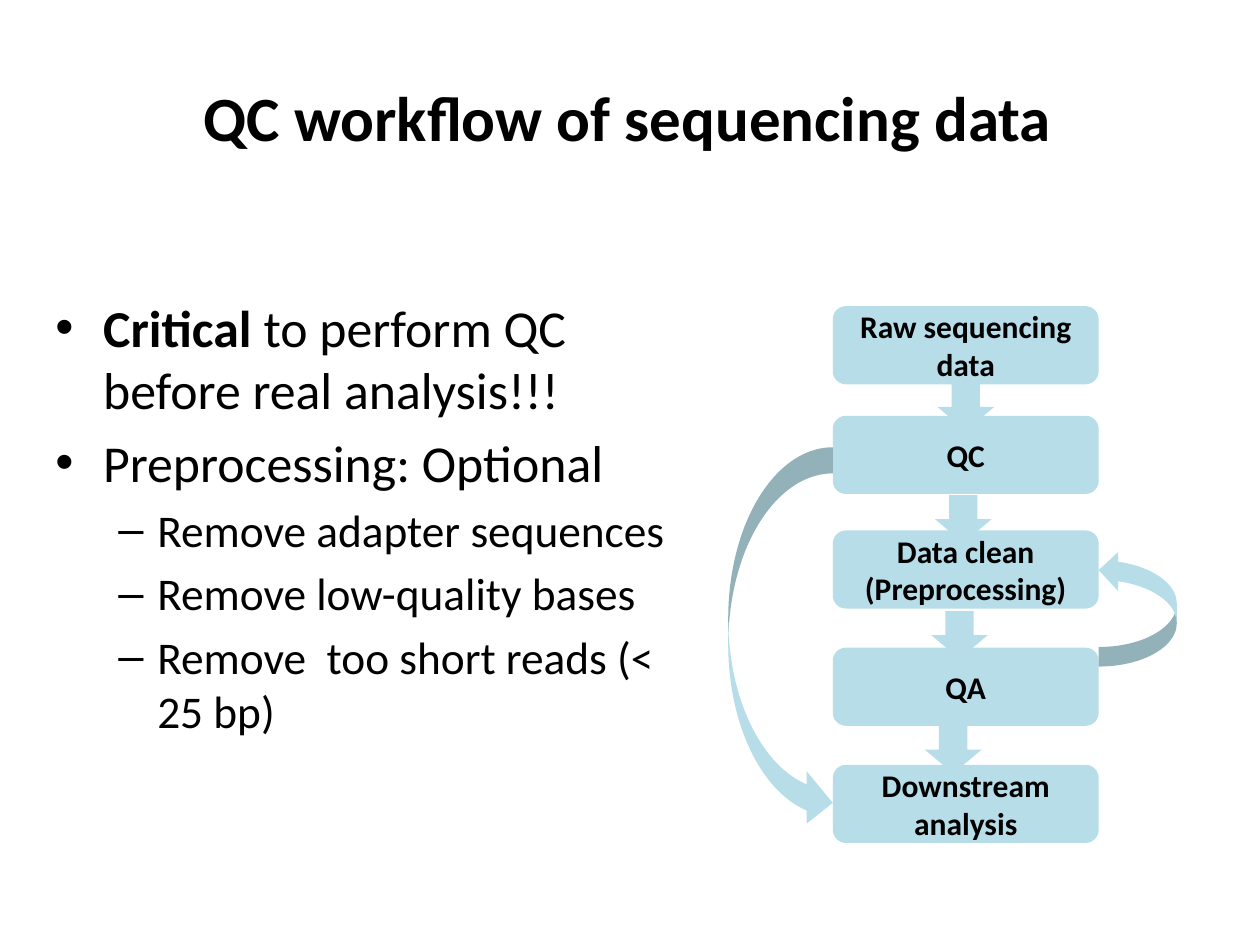
from lxml import etree
from pptx import Presentation
from pptx.dml.color import RGBColor
from pptx.enum.shapes import MSO_SHAPE
from pptx.enum.text import MSO_ANCHOR, PP_ALIGN
from pptx.oxml.ns import qn
from pptx.util import Inches, Pt

ROUND = MSO_SHAPE.ROUNDED_RECTANGLE
DOWN = MSO_SHAPE.DOWN_ARROW
CURVE = MSO_SHAPE.CURVED_RIGHT_ARROW
MIDDLE, TOP = MSO_ANCHOR.MIDDLE, MSO_ANCHOR.TOP
CENTER = PP_ALIGN.CENTER
FONT, INK, FILL = "Calibri", "000000", "B7DEE8"
WIDE, HIGH = Inches(10), Inches(7.5)
COLS, ROWS = 100, 75

LEVELS = [("•", 0.38, -0.38, 29.6, 6), ("–", 0.81, -0.31, 25.9, 5.2)]
POINTS = [
    (0, ["Critical", " to perform QC before real analysis!!!"]),
    (0, ["Preprocessing: Optional"]),
    (1, ["Remove adapter sequences"]),
    (1, ["Remove low-quality bases"]),
    (1, ["Remove  too short reads (< 25 bp)"]),
]
STEPS = [
    ("Raw sequencing data", 0),
    ("QC", 8.7),
    ("Data clean (Preprocessing)", 17.8),
    ("QA", 27.1),
    ("Downstream analysis", 36.4),
]
DROPS = [(16.6, 6.1), (16.4, 15), (16.1, 24.2), (15.6, 33.3)]


def paint(color):
    return RGBColor.from_string(color)


def cells(left, top, width, height):
    return (round(left * WIDE / COLS), round(top * HIGH / ROWS),
            round(width * WIDE / COLS), round(height * HIGH / ROWS))


def style(run, size, bold):
    run.font.name, run.font.size, run.font.bold = FONT, Pt(size), bold
    run.font.color.rgb = paint(INK)


def label(shape, text, size):
    frame = shape.text_frame
    frame.text, frame.word_wrap = text, True
    frame.vertical_anchor = MIDDLE
    para = frame.paragraphs[0]
    para.alignment = CENTER
    style(para.runs[0], size, True)


def add_title(slide, box):
    title = slide.shapes.title
    title.left, title.top, title.width, title.height = cells(*box)
    label(title, "QC workflow of sequencing data", 36)


def add_points(slide, box):
    frame = slide.shapes.add_textbox(*cells(*box)).text_frame
    frame.word_wrap, frame.vertical_anchor = True, TOP
    for i, (level, parts) in enumerate(POINTS):
        mark, left, hang, size, gap = LEVELS[level]
        para = frame.add_paragraph() if i else frame.paragraphs[0]
        para.level = level
        props = para._p.get_or_add_pPr()
        props.set("marL", str(Inches(left)))
        props.set("indent", str(Inches(hang)))
        etree.SubElement(props, qn("a:buFont")).set("typeface", "Arial")
        etree.SubElement(props, qn("a:buChar")).set("char", mark)
        if i:
            para.space_before = Pt(gap)
        for part in parts:
            run = para.add_run()
            run.text = part
            style(run, size, part == "Critical")


def add_flow(slide, box):
    left, top, width, height = box

    def place(kind, x, y, w, h):
        shape = slide.shapes.add_shape(kind, *cells(left + x, top + y, w, h))
        shape.shadow.inherit = False
        shape.fill.solid()
        shape.fill.fore_color.rgb = paint(FILL)
        shape.line.fill.background()
        return shape

    side, step, tall = 8.3, 21.1, 6.2
    for text, y in STEPS:
        label(place(ROUND, side, y, step, tall), text, 18)
    for x, y in DROPS:
        place(DOWN, x, y, 4.5, 3.8)
    place(CURVE, 0, 11.2, side, 30.3)
    back = place(CURVE, side + step, 19.4, width - side - step, 9.2)
    for axis in ("flipH", "flipV"):
        back._element.spPr.xfrm.set(axis, "1")


def main():
    deck = Presentation()
    deck.slide_width, deck.slide_height = WIDE, HIGH
    slide = deck.slides.add_slide(deck.slide_layouts[5])
    add_title(slide, (4.8, 3, 90, 12.5))
    add_points(slide, (3.4, 23, 52.9, 37.7))
    add_flow(slide, (57.8, 24.3, 35.6, 42.6))
    deck.save("out.pptx")


if __name__ == "__main__":
    main()
